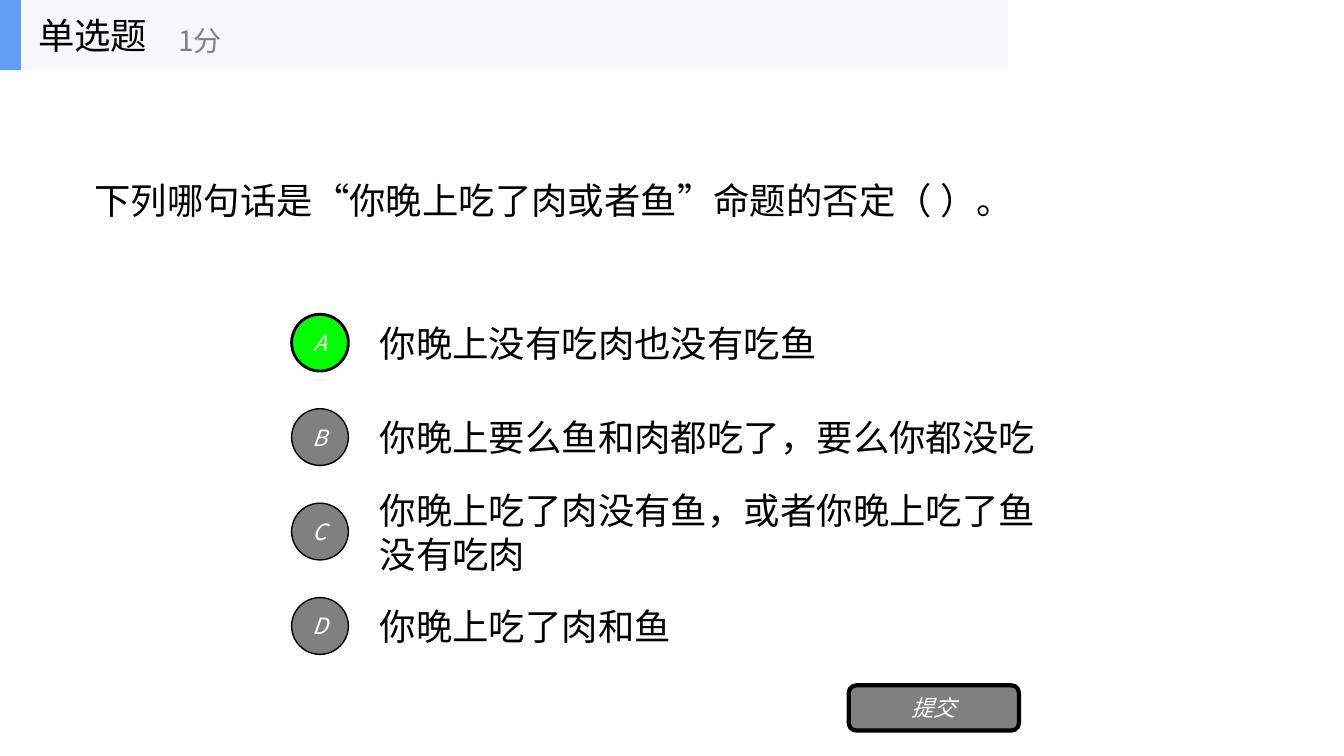
"""Build a single-choice question slide with four options and a submit button."""
from dataclasses import dataclass

from lxml import etree
from pptx import Presentation
from pptx import util as u
from pptx.dml.color import RGBColor
from pptx.enum import shapes, text
from pptx.oxml import ns

TYPEFACE = "Noto Sans CJK SC"
COLOURS = {
    "ink": "000000",
    "white": "FFFFFF",
    "grey": "808080",
    "correct": "00FF00",
    "band": "F6F7F8",
    "accent": "639EF4",
}
BODY_FORMAT = {"size": u.Pt(26), "italic": False}
SCORE_FORMAT = {"size": u.Pt(20), "italic": False}
BUTTON_FORMAT = {"size": u.Pt(16), "italic": True}
FRAME_FORMAT = {
    "word_wrap": True,
    "auto_size": text.MSO_AUTO_SIZE.NONE,
    "vertical_anchor": text.MSO_ANCHOR.MIDDLE,
}
TIGHT_MARGINS = {
    "margin_left": 0, "margin_right": 0, "margin_top": 0, "margin_bottom": 0,
}
FIRST_ROW, ROW_PITCH = 7.75, 2.38


@dataclass(frozen=True)
class Box:
    """Position and size in centimetres."""
    left: float
    top: float
    width: float
    height: float

    def lengths(self) -> tuple:
        """Return the four lengths as Cm values."""
        return tuple(map(u.Cm, (self.left, self.top, self.width, self.height)))


@dataclass(frozen=True)
class Option:
    """One answer with its letter and badge style."""
    letter: str
    answer: str
    fill: str = "grey"
    outline: float = 1


OPTIONS = [
    Option("A", "你晚上没有吃肉也没有吃鱼", "correct", 2),
    Option("B", "你晚上要么鱼和肉都吃了，要么你都没吃"),
    Option("C", "你晚上吃了肉没有鱼，或者你晚上吃了鱼没有吃肉"),
    Option("D", "你晚上吃了肉和鱼"),
]


def rgb(colour: str) -> RGBColor:
    """Look up a named colour."""
    return RGBColor.from_string(COLOURS[colour])


def apply(target, settings: dict) -> None:
    """Set each attribute from a dict of format values."""
    for attribute, value in settings.items():
        setattr(target, attribute, value)


def write(frame, wording: str, font_format: dict, colour: str = "ink",
          alignment=text.PP_ALIGN.LEFT) -> None:
    """Fill a text frame with one formatted run."""
    apply(frame, FRAME_FORMAT)
    paragraph = frame.paragraphs[0]
    paragraph.alignment = alignment
    run = paragraph.add_run()
    run.text = wording
    apply(run.font, {"name": TYPEFACE, **font_format})
    run.font.color.rgb = rgb(colour)
    east_asian = etree.SubElement(run.font._element, ns.qn("a:ea"))
    east_asian.set("typeface", TYPEFACE)


def add_label(parent, box: Box, wording: str, font_format: dict,
              colour: str = "ink") -> None:
    """Add a left-aligned text box."""
    label = parent.add_textbox(*box.lengths())
    write(label.text_frame, wording, font_format, colour)


def add_panel(parent, kind, box: Box, fill: str, outline: float = 0):
    """Add a filled preset shape, outlined in black if a width is given."""
    panel = parent.add_shape(kind, *box.lengths())
    panel.shadow.inherit = False
    panel.fill.solid()
    panel.fill.fore_color.rgb = rgb(fill)
    if outline:
        panel.line.color.rgb = rgb("ink")
        panel.line.width = u.Pt(outline)
    else:
        panel.line.fill.background()
    return panel


def add_button(parent, kind, box: Box, caption: str, fill: str,
               outline: float) -> None:
    """Add an outlined shape with a centred italic caption."""
    frame = add_panel(parent, kind, box, fill, outline).text_frame
    apply(frame, TIGHT_MARGINS)
    write(frame, caption, BUTTON_FORMAT, "white", text.PP_ALIGN.CENTER)


def add_question(slide) -> None:
    """Place the question in the title placeholder."""
    question = slide.shapes.title
    box = Box(2.13, 2.06, 25.76, 5.94)
    apply(question, dict(zip(("left", "top", "width", "height"), box.lengths())))
    write(question.text_frame, "下列哪句话是“你晚上吃了肉或者鱼”命题的否定（ ）。", BODY_FORMAT)


def add_options(slide) -> None:
    """Place the answers and their letter badges in even rows."""
    for row, option in enumerate(OPTIONS):
        top = FIRST_ROW + row * ROW_PITCH
        add_label(slide.shapes, Box(9.32, top, 17.78, 1.78), option.answer, BODY_FORMAT)
        add_button(slide.shapes, shapes.MSO_SHAPE.OVAL, Box(7.35, top + 0.17, 1.43, 1.43),
                   option.letter, option.fill, option.outline)


def add_header(slide) -> None:
    """Group the header band, its accent bar, the question type and score."""
    header = slide.shapes.add_group_shape().shapes
    for width, fill in ((25.4, "band"), (0.53, "accent")):
        add_panel(header, shapes.MSO_SHAPE.RECTANGLE, Box(0, 0, width, 1.77), fill)
    add_label(header, Box(0.71, 0, 5.28, 1.77), "单选题", BODY_FORMAT)
    add_label(header, Box(4.24, 0.3, 6.35, 1.42), "1分", SCORE_FORMAT, "grey")


def main() -> None:
    """Assemble and save the slide."""
    deck = Presentation()
    apply(deck, {"slide_width": u.Cm(33.87), "slide_height": u.Cm(19.05)})
    slide = deck.slides.add_slide(deck.slide_layouts[5])
    add_question(slide)
    add_options(slide)
    add_button(slide.shapes, shapes.MSO_SHAPE.ROUNDED_RECTANGLE,
               Box(21.39, 17.27, 4.29, 1.14), "提交", "grey", 3)
    add_header(slide)
    deck.save("out.pptx")


if __name__ == "__main__":
    main()
